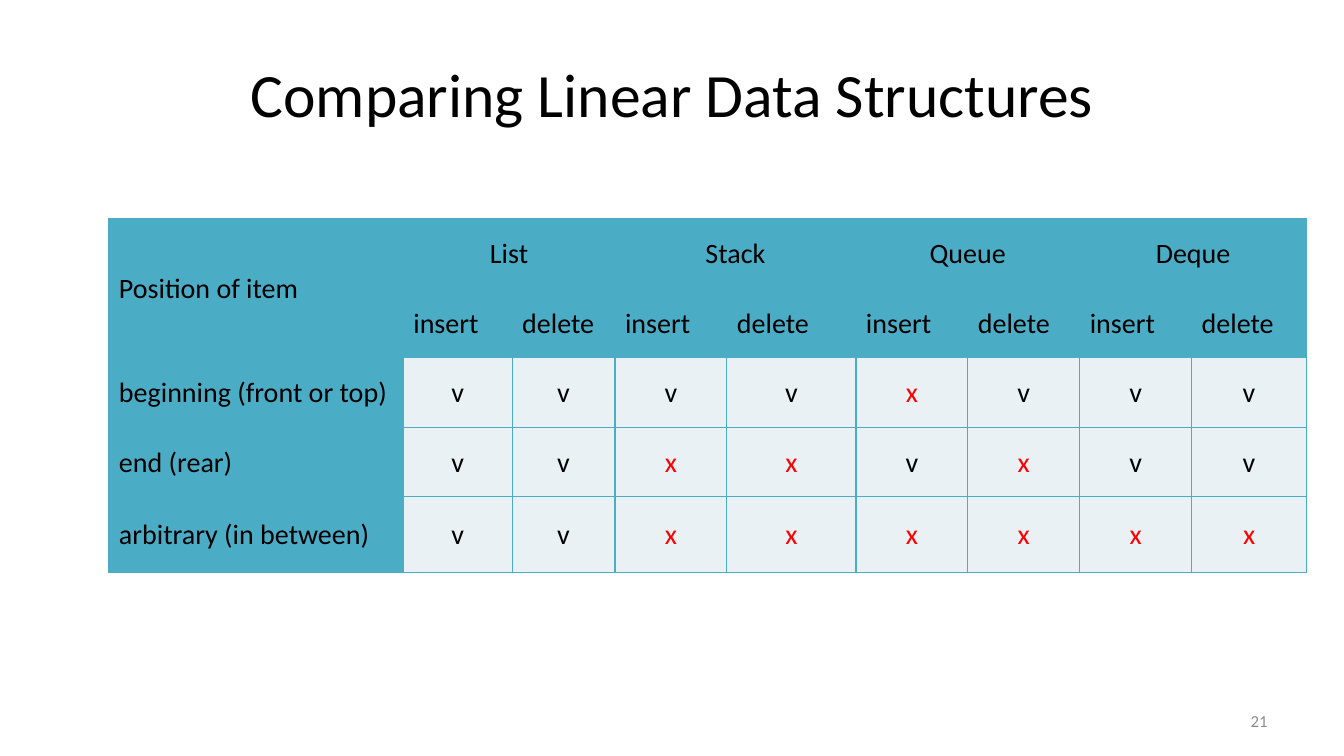
from dataclasses import dataclass
from typing import Any

from lxml.etree import SubElement
from pptx import Presentation
from pptx.dml.color import RGBColor
from pptx.enum.text import MSO_ANCHOR, PP_ALIGN
from pptx.oxml.ns import qn
from pptx.slide import Slide
from pptx.table import Table, _Cell
from pptx.text.text import TextFrame
from pptx.util import Emu, Pt

EMU_PER_PX = 9144  # 100 px to the inch


@dataclass(frozen=True)
class Theme:
    font: str = "Calibri"
    ink: str = "000000"
    muted: str = "8C8C8C"
    denied: str = "FF0000"
    header: str = "4BACC6"
    body: str = "E9F1F5"
    title_size: int = 44
    table_size: int = 20
    number_size: int = 12
    border_width: int = 1


@dataclass(frozen=True)
class Label:
    text: str
    left: int
    top: int
    width: int
    height: int
    size: int
    color: str
    align: PP_ALIGN


THEME = Theme()
LABELS = (
    Label("Comparing Linear Data Structures", 67, 30, 1200, 125,
          THEME.title_size, THEME.ink, PP_ALIGN.CENTER),
    Label("21", 956, 695, 311, 40, THEME.number_size, THEME.muted, PP_ALIGN.RIGHT),
)
STRUCTURES = ("List", "Stack", "Queue", "Deque")
OPERATIONS = ("insert", "delete")
SUPPORT = {
    "beginning (front or top)": "vvvvxvvv",
    "end (rear)": "vvxxvxvv",
    "arbitrary (in between)": "vvxxxxxx",
}
TABLE_LEFT, TABLE_TOP = 108, 217
COLUMN_WIDTHS = (292, 108, 102, 111, 128, 111, 111, 111, 114)
ROW_HEIGHTS = (69, 69, 69, 69, 75)
CELL_FORMAT = {
    "margin_left": 10,
    "margin_top": 1,
    "margin_right": 10,
    "margin_bottom": 0,
}


def px(length: int) -> Emu:
    return Emu(length * EMU_PER_PX)


def write(frame: TextFrame, text: str, size: int, color: str, align: PP_ALIGN) -> None:
    paragraph = frame.paragraphs[0]
    paragraph.alignment = align
    run = paragraph.add_run()
    run.text = text
    font_format: dict[str, Any] = {"name": THEME.font, "size": Pt(size)}
    for attribute, value in font_format.items():
        setattr(run.font, attribute, value)
    run.font.color.rgb = RGBColor.from_string(color)


def add_label(slide: Slide, label: Label) -> None:
    box = slide.shapes.add_textbox(
        *map(px, (label.left, label.top, label.width, label.height)))
    box.text_frame.word_wrap = True
    box.text_frame.vertical_anchor = MSO_ANCHOR.MIDDLE
    write(box.text_frame, label.text, label.size, label.color, label.align)


def style_cell(cell: _Cell, fill: str) -> None:
    for attribute, margin in CELL_FORMAT.items():
        setattr(cell, attribute, px(margin))
    cell.vertical_anchor = MSO_ANCHOR.MIDDLE
    properties = cell._tc.get_or_add_tcPr()
    for side in ("a:lnL", "a:lnR", "a:lnT", "a:lnB"):
        line = SubElement(properties, qn(side), w=str(Pt(THEME.border_width)))
        solid = SubElement(line, qn("a:solidFill"))
        SubElement(solid, qn("a:srgbClr"), val=THEME.header)
    cell.fill.solid()
    cell.fill.fore_color.rgb = RGBColor.from_string(fill)


def fill_cell(table: Table, row: int, column: int, text: str,
              align: PP_ALIGN = PP_ALIGN.LEFT, color: str = THEME.ink) -> None:
    write(table.cell(row, column).text_frame, text, THEME.table_size, color, align)


def add_comparison(slide: Slide) -> None:
    table = slide.shapes.add_table(
        len(ROW_HEIGHTS), len(COLUMN_WIDTHS), px(TABLE_LEFT), px(TABLE_TOP),
        px(sum(COLUMN_WIDTHS)), px(sum(ROW_HEIGHTS))).table
    table.first_row = table.horz_banding = False
    for column, width in zip(table.columns, COLUMN_WIDTHS):
        column.width = px(width)
    for row, height in zip(table.rows, ROW_HEIGHTS):
        row.height = px(height)
    for r in range(len(ROW_HEIGHTS)):
        for c in range(len(COLUMN_WIDTHS)):
            style_cell(table.cell(r, c), THEME.header if r < 2 or c == 0 else THEME.body)

    table.cell(0, 0).merge(table.cell(1, 0))
    fill_cell(table, 0, 0, "Position of item")
    for index, structure in enumerate(STRUCTURES):
        first = 1 + index * len(OPERATIONS)
        table.cell(0, first).merge(table.cell(0, first + len(OPERATIONS) - 1))
        fill_cell(table, 0, first, structure, PP_ALIGN.CENTER)
        for column, operation in enumerate(OPERATIONS, first):
            fill_cell(table, 1, column, operation)
    for r, (position, marks) in enumerate(SUPPORT.items(), 2):
        fill_cell(table, r, 0, position)
        for c, mark in enumerate(marks, 1):
            fill_cell(table, r, c, mark, PP_ALIGN.CENTER,
                      THEME.denied if mark == "x" else THEME.ink)


def main() -> None:
    deck = Presentation()
    deck.slide_width, deck.slide_height = px(1333), px(750)
    slide = deck.slides.add_slide(deck.slide_layouts[6])
    for label in LABELS:
        add_label(slide, label)
    add_comparison(slide)
    deck.save("out.pptx")


if __name__ == "__main__":
    main()
